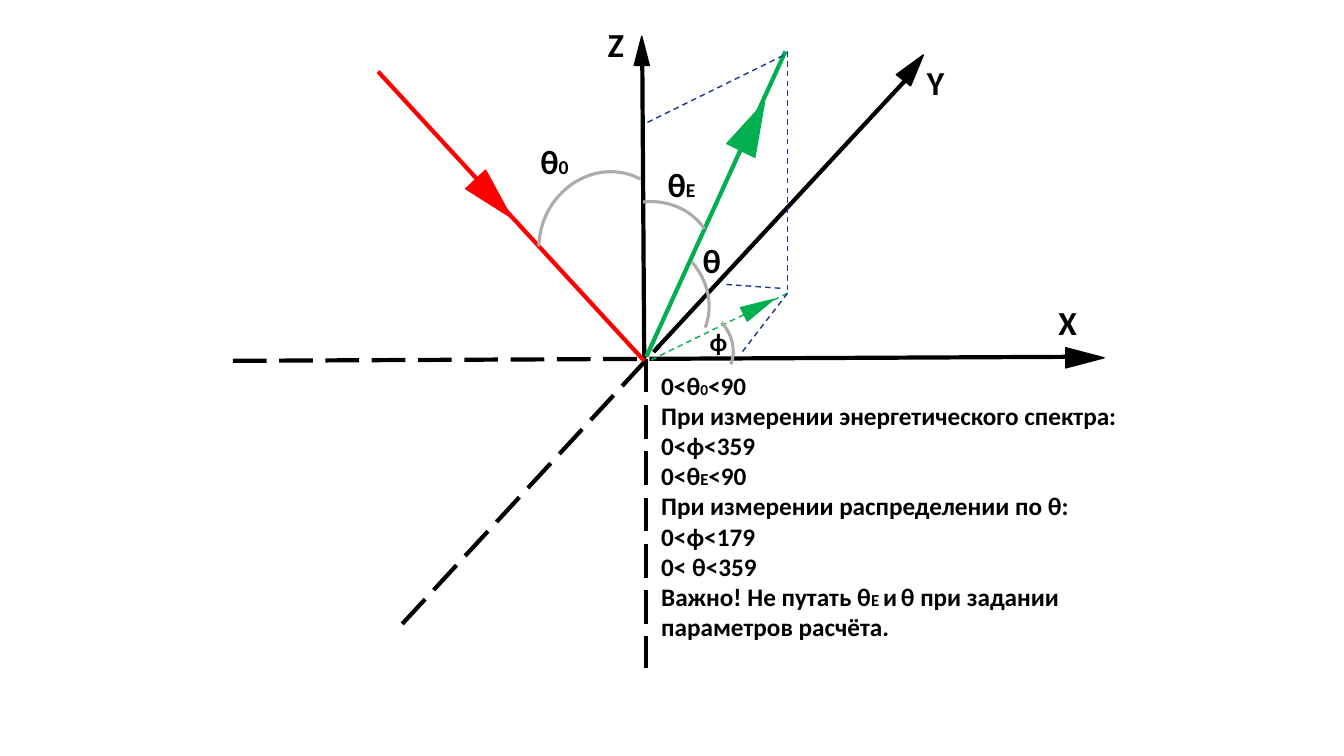
from lxml import etree
from pptx import Presentation
from pptx.dml.color import RGBColor
from pptx.enum.dml import MSO_LINE
from pptx.enum.shapes import MSO_CONNECTOR, MSO_SHAPE
from pptx.enum.text import MSO_ANCHOR, PP_ALIGN
from pptx.oxml.ns import qn
from pptx.util import Inches, Pt

STRAIGHT = MSO_CONNECTOR.STRAIGHT
TRIANGLE = MSO_SHAPE.FLOWCHART_EXTRACT
ARC = MSO_SHAPE.ARC
DASH = MSO_LINE.DASH
LONG_DASH = MSO_LINE.LONG_DASH
TOP, MIDDLE = MSO_ANCHOR.TOP, MSO_ANCHOR.MIDDLE
LEFT, CENTER = PP_ALIGN.LEFT, PP_ALIGN.CENTER

BLACK = RGBColor(0x00, 0x00, 0x00)
RED = RGBColor(0xFF, 0x00, 0x00)
GREEN = RGBColor(0x00, 0xB0, 0x50)
BLUE = RGBColor(0x19, 0x37, 0x97)
GRAY = RGBColor(0xAF, 0xAB, 0xAB)

FONT = "Calibri"
LABEL_SIZE = (0.76, 0.6)

LINES = [
    ((2.31, 3.58), (6.47, 3.56), BLACK, 3, LONG_DASH),
    ((6.47, 3.56), (10.63, 3.54), BLACK, 3, None),
    ((6.37, 0.51), (6.39, 3.58), BLACK, 3, None),
    ((6.41, 3.56), (6.41, 6.63), BLACK, 3, LONG_DASH),
    ((3.99, 6.19), (6.54, 3.43), BLACK, 3, LONG_DASH),
    ((6.51, 3.46), (9.06, 0.71), BLACK, 3, None),
    ((6.41, 3.54), (7.79, 0.51), GREEN, 3, None),
    ((6.39, 3.58), (3.75, 0.71), RED, 3, None),
    ((7.81, 0.51), (7.81, 2.91), BLUE, 1, DASH),
    ((7.81, 2.91), (6.46, 3.57), GREEN, 1, DASH),
    ((7.77, 0.55), (6.41, 1.22), BLUE, 1, DASH),
    ((7.81, 2.91), (7.34, 3.52), BLUE, 1, DASH),
    ((7.74, 2.86), (7.17, 2.82), BLUE, 1, DASH),
]

ARROWHEADS = [
    ((6.29, 0.36, 0.15, 0.29), 0, BLACK),
    ((8.97, 0.51, 0.18, 0.32), 38.2, BLACK),
    ((10.66, 3.36, 0.2, 0.38), 90, BLACK),
    ((4.76, 1.71, 0.27, 0.52), 136.9, RED),
    ((7.31, 0.99, 0.31, 0.53), 26.2, GREEN),
    ((7.45, 2.88, 0.15, 0.33), 63.2, GREEN),
]

ANGLE_ARCS = [
    ((5.3, 1.75, 1.42, 1.3), 298.9, 142.37),
    ((5.62, 2.35, 1.42, 1.3), 20.6, 181.48),
    ((6.35, 3.04, 0.93, 0.82), 20.6, 181.69),
    ((5.69, 2.02, 1.42, 1.3), 325.7, 181.48),
]

LABELS = [
    (10.21, 2.9, ["X"]),
    (8.9, 0.51, ["Y"]),
    (5.73, 0.14, ["Z"]),
    (5.12, 1.3, ["θ", ("0", 14)]),
    (6.68, 2.28, ["θ"]),
    (6.38, 1.53, ["θ", ("E", 14)]),
]

RANGES = [
    ["0<θ", ("0", 11), "<90 "],
    ["При измерении энергетического спектра:"],
    ["0<ϕ<359"],
    ["0<θ", ("E", 12), "<90"],
    ["При измерении распределении по θ:"],
    ["0<ϕ<179"],
    ["0< θ<359"],
    ["Важно! Не путать θ", ("E ", 12), "и", (" ", 12), "θ при задании"],
    ["параметров расчёта."],
]


def add_line(slide, start, end, color, width, dash):
    points = [Inches(value) for value in start + end]
    connector = slide.shapes.add_connector(STRAIGHT, *points)
    connector.line.color.rgb = color
    connector.line.width = Pt(width)
    if dash is not None:
        connector.line.dash_style = dash
    etree.SubElement(connector._element.spPr, qn("a:effectLst"))


def add_outlined_shape(slide, kind, box, rotation, color, width):
    shape = slide.shapes.add_shape(kind, *[Inches(value) for value in box])
    shape.shadow.inherit = False
    shape.rotation = rotation
    shape.line.color.rgb = color
    shape.line.width = Pt(width)
    return shape


def add_arrowhead(slide, box, rotation, color):
    shape = add_outlined_shape(slide, TRIANGLE, box, rotation, color, 1)
    shape.fill.solid()
    shape.fill.fore_color.rgb = color


def add_angle_arc(slide, box, rotation, start):
    shape = add_outlined_shape(slide, ARC, box, rotation, GRAY, 2.25)
    shape.fill.background()
    shape.adjustments[0] = start
    shape.adjustments[1] = 0


def add_text(slide, box, paragraphs, size, anchor=TOP, alignment=LEFT, wrap=False):
    shape = slide.shapes.add_textbox(*[Inches(value) for value in box])
    frame = shape.text_frame
    frame.word_wrap = wrap
    frame.vertical_anchor = anchor
    for index, pieces in enumerate(paragraphs):
        paragraph = frame.add_paragraph() if index else frame.paragraphs[0]
        paragraph.alignment = alignment
        paragraph.font.name = FONT
        paragraph.font.size = Pt(size)
        paragraph.font.bold = True
        paragraph.font.color.rgb = BLACK
        for piece in pieces:
            run = paragraph.add_run()
            if isinstance(piece, tuple):
                run.text, run_size = piece
                run.font.size = Pt(run_size)
            else:
                run.text = piece


def main():
    presentation = Presentation()
    presentation.slide_width = Inches(13.33)
    presentation.slide_height = Inches(7.5)
    slide = presentation.slides.add_slide(presentation.slide_layouts[6])

    for line in LINES:
        add_line(slide, *line)
    for arrowhead in ARROWHEADS:
        add_arrowhead(slide, *arrowhead)
    for arc in ANGLE_ARCS:
        add_angle_arc(slide, *arc)
    for left, top, pieces in LABELS:
        add_text(slide, (left, top, *LABEL_SIZE), [pieces], 24, MIDDLE, CENTER, True)
    add_text(slide, (6.94, 3.19, 0.38, 0.4), [["ϕ"]], 18)
    add_text(slide, (6.46, 3.62, 4.76, 2.83), RANGES, 18)

    presentation.save("out.pptx")


main()
